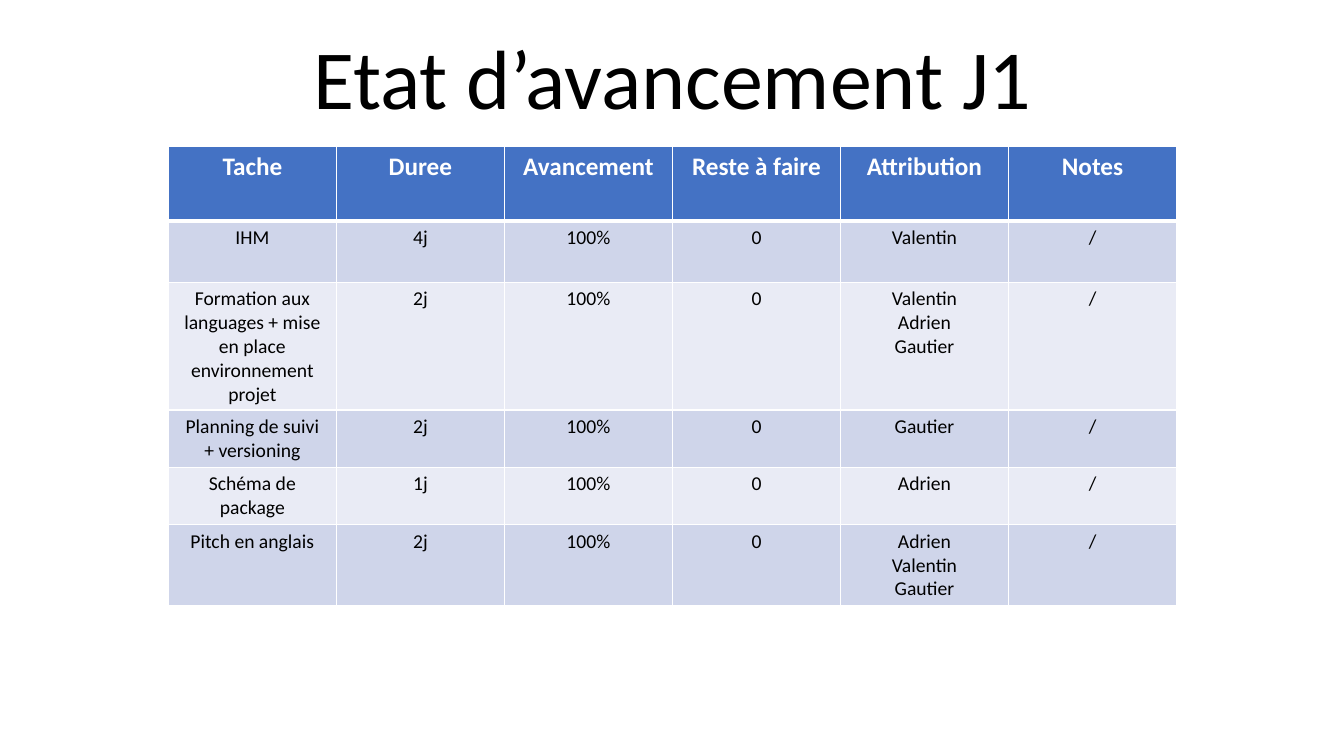
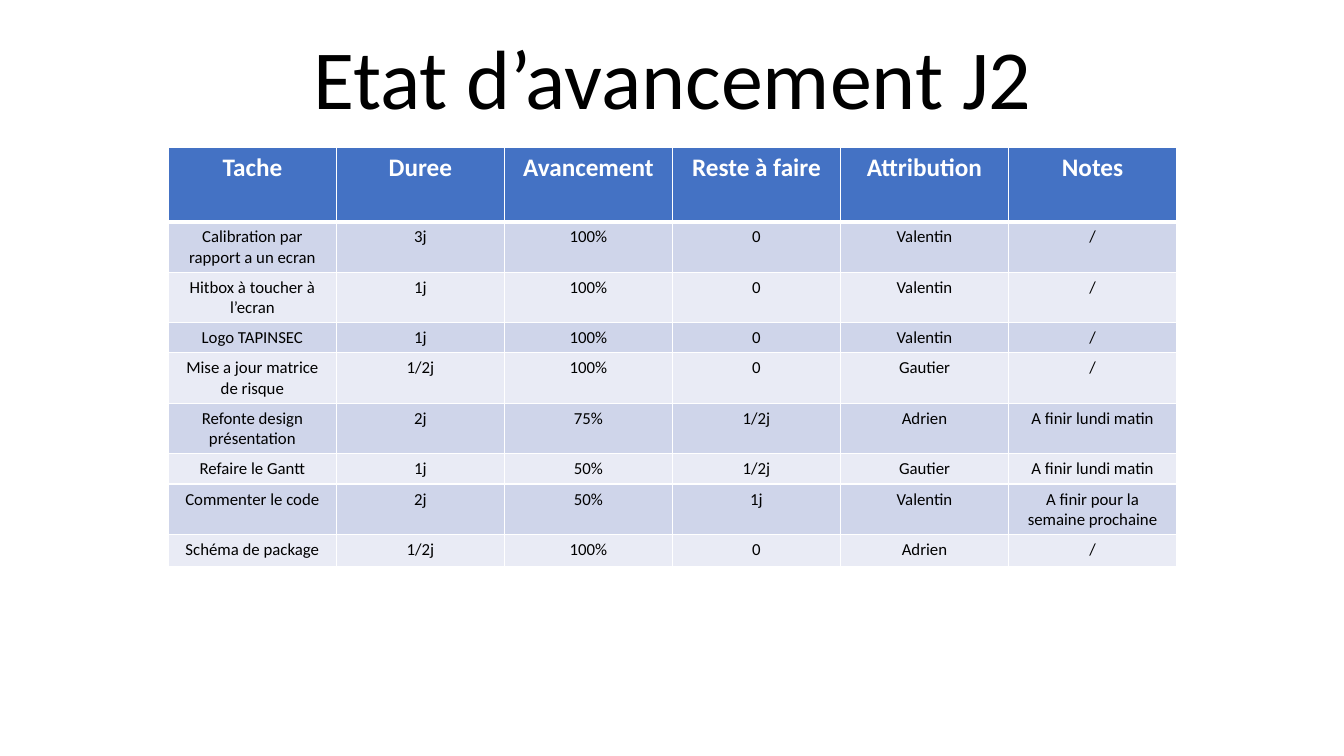
import pptx
import pptx.dml.color
import pptx.enum.text
import pptx.oxml.ns
import pptx.util
import lxml.etree

Inches = pptx.util.Inches
FONT = "Calibri"
BLACK, WHITE, HEADER_BLUE = "000000", "FFFFFF", "4472C4"
BANDS = ("CFD5EA", "E9EBF5")
HEADINGS = ("Tache", "Duree", "Avancement", "Reste à faire", "Attribution", "Notes")
LEFT, WIDTH = 1.67, 10

DAY_ONE = [
    ("IHM", "4j", "100%", "0", "Valentin", "/"),
    ("Formation aux languages + mise en place environnement projet",
     "2j", "100%", "0", "Valentin\nAdrien\nGautier", "/"),
    ("Planning de suivi + versioning", "2j", "100%", "0", "Gautier", "/"),
    ("Schéma de package", "1j", "100%", "0", "Adrien", "/"),
    ("Pitch en anglais", "2j", "100%", "0", "Adrien\nValentin\nGautier", "/"),
]
DAY_TWO = [
    ("Calibration par rapport a un ecran", "3j", "100%", "0", "Valentin", "/"),
    ("Hitbox à toucher à l’ecran", "1j", "100%", "0", "Valentin", "/"),
    ("Logo TAPINSEC", "1j", "100%", "0", "Valentin", "/"),
    ("Mise a jour matrice de risque", "1/2j", "100%", "0", "Gautier", "/"),
    ("Refonte design présentation", "2j", "75%", "1/2j", "Adrien", "A finir lundi matin"),
    ("Refaire le Gantt", "1j", "50%", "1/2j", "Gautier", "A finir lundi matin"),
    ("Commenter le code", "2j", "50%", "1j", "Valentin", "A finir pour la semaine prochaine"),
    ("Schéma de package", "1/2j", "100%", "0", "Adrien", "/"),
]


def colour(hex_code):
    """Turn a hex string into a colour."""
    return pptx.dml.color.RGBColor.from_string(hex_code)


def write(frame, text, size, ink=BLACK, bold=False, spacing=None):
    """Fill a text frame with centred paragraphs, one for each line."""
    frame.word_wrap = True
    for index, line in enumerate(text.split("\n")):
        paragraph = frame.paragraphs[0] if index == 0 else frame.add_paragraph()
        paragraph.alignment = pptx.enum.text.PP_ALIGN.CENTER
        paragraph.line_spacing = spacing
        run = paragraph.add_run()
        run.text = line
        run.font.name = FONT
        run.font.size = pptx.util.Pt(size)
        run.font.bold = bold
        run.font.color.rgb = colour(ink)


def style_cell(cell, background, edges):
    """Give a cell its white borders, in points by side, and its fill."""
    properties = cell._tc.get_or_add_tcPr()
    qn = pptx.oxml.ns.qn
    for side, points in edges.items():
        edge = lxml.etree.SubElement(
            properties, qn(f"a:ln{side}"), w=str(pptx.util.Pt(points)))
        ink = lxml.etree.SubElement(edge, qn("a:solidFill"))
        lxml.etree.SubElement(ink, qn("a:srgbClr"), val=WHITE)
    cell.fill.solid()
    cell.fill.fore_color.rgb = colour(background)


def add_title(slide, text, left, top, width, height):
    """Place the slide title at the bottom of its box."""
    frame = slide.shapes.add_textbox(
        Inches(left), Inches(top), Inches(width), Inches(height)).text_frame
    frame.vertical_anchor = pptx.enum.text.MSO_ANCHOR.BOTTOM
    write(frame, text, size=60, spacing=0.9)


def add_progress(slide, tasks, heights, size, left, top, width):
    """Place the table of tasks under its headings, in equal columns."""
    table = slide.shapes.add_table(
        len(heights), len(HEADINGS), Inches(left), Inches(top),
        Inches(width), Inches(sum(heights))).table
    for row, height in zip(table.rows, heights):
        row.height = Inches(height)
    for number, entries in enumerate([HEADINGS, *tasks]):
        heading = number == 0
        background = HEADER_BLUE if heading else BANDS[(number - 1) % 2]
        edges = {"L": 1, "R": 1, "T": 3 if number == 1 else 1, "B": 3 if heading else 1}
        for column, entry in enumerate(entries):
            cell = table.cell(number, column)
            style_cell(cell, background, edges)
            write(cell.text_frame, entry, size=18 if heading else size,
                  ink=WHITE if heading else BLACK, bold=heading)


def add_status_slide(deck, day, tasks, heights, size, table_top):
    """Add the progress slide of one day."""
    slide = deck.slides.add_slide(deck.slide_layouts[6])
    add_title(slide, f"Etat d’avancement {day}", LEFT, 0.21, WIDTH, 1.11)
    add_progress(slide, tasks, heights, size, LEFT, table_top, WIDTH)


presentation = pptx.Presentation()
presentation.slide_width, presentation.slide_height = Inches(13.33), Inches(7.5)
add_status_slide(presentation, "J1", DAY_ONE,
                 (0.74, 0.61, 0.59, 0.4, 0.57, 0.64), size=14, table_top=1.45)
add_status_slide(presentation, "J2", DAY_TWO,
                 (0.74, 0.5, 0.49, 0.3, 0.5, 0.49, 0.26, 0.23, 0.32), size=12, table_top=1.46)
presentation.save("out.pptx")
